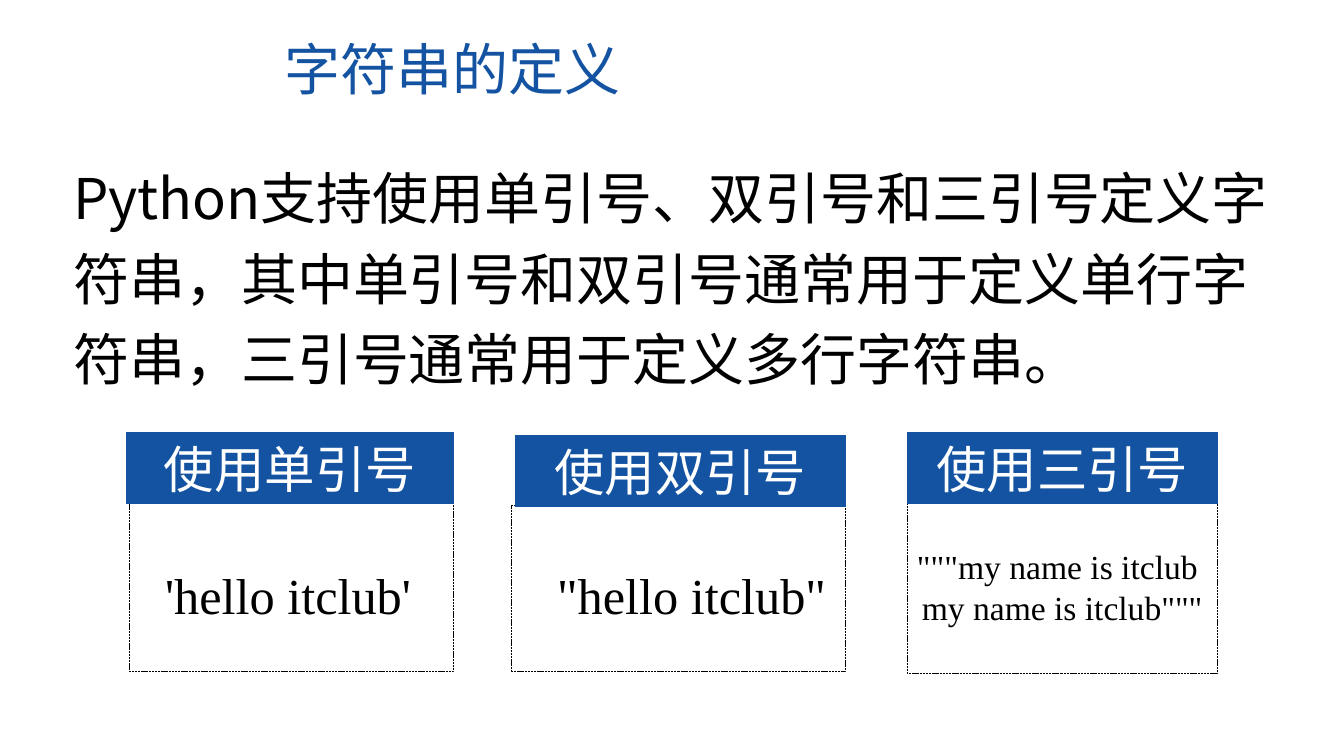
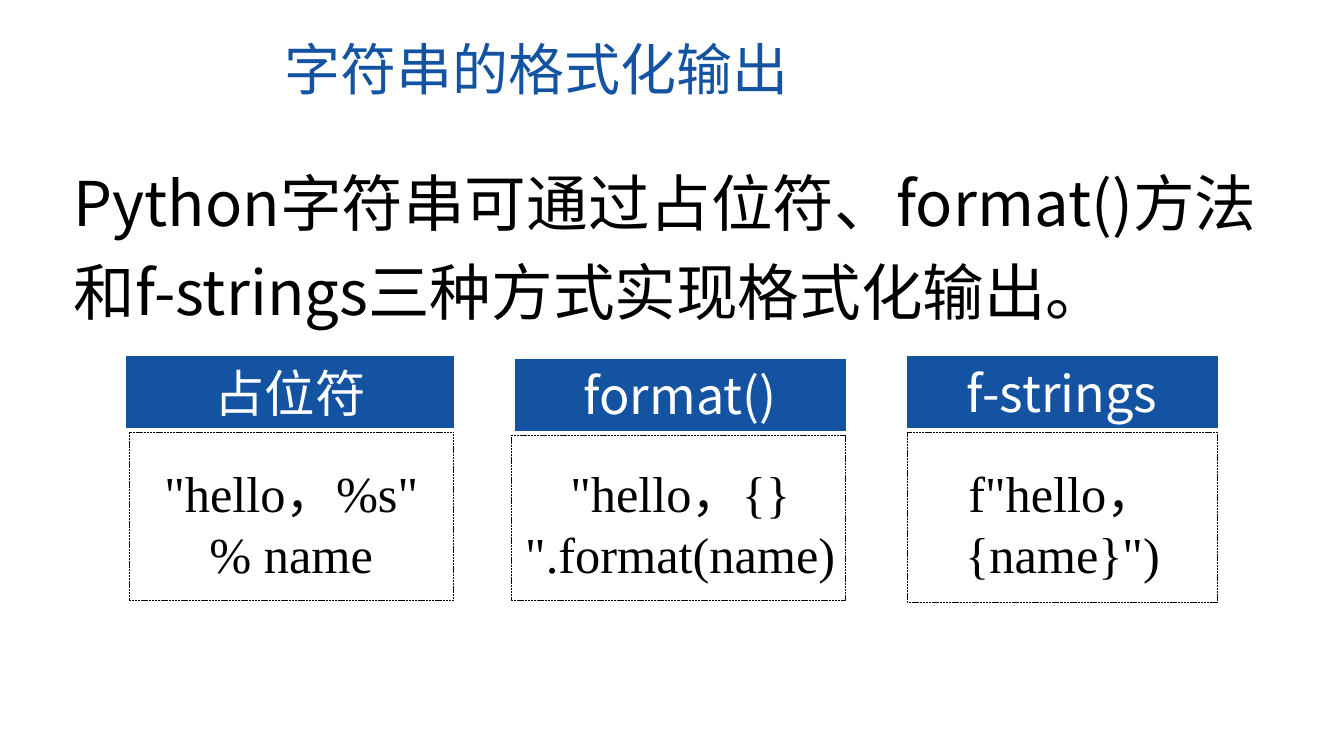
import pptx
import pptx.util
import pptx.dml.color
import pptx.enum.dml
import pptx.enum.shapes
import pptx.enum.text
import pptx.oxml.ns
from lxml import etree

Cm, Pt = pptx.util.Cm, pptx.util.Pt
ALIGN = pptx.enum.text.PP_ALIGN
ANCHOR = pptx.enum.text.MSO_ANCHOR

COLORS = {"blue": "1353A2", "black": "000000", "white": "FFFFFF"}
SANS, SERIF = "Noto Sans CJK SC", "Times New Roman"

# Text styles: font values, colour, paragraph values
STYLES = {
    "title": ({"size": Pt(40), "name": SANS}, "blue", {}),
    "body": ({"size": Pt(40), "name": SANS}, "black", {"line_spacing": 1.2}),
    "large": ({"size": Pt(44), "name": SANS}, "black", {"line_spacing": 1.2}),
    "head": ({"size": Pt(36), "name": SANS}, "white", {"alignment": ALIGN.CENTER}),
    "code": ({"size": Pt(36), "name": SERIF}, "black", {"alignment": ALIGN.LEFT}),
    "mid": ({"size": Pt(36), "name": SERIF}, "black", {"alignment": ALIGN.CENTER}),
    "small": ({"size": Pt(24), "name": SERIF}, "black", {"alignment": ALIGN.LEFT}),
    "end": ({"size": Pt(24), "name": SERIF}, "black", {"alignment": ALIGN.CENTER}),
}

# Columns in cm: head left, box left, shared right edge, drop, box height
COLS = [
    (3.18, 3.25, 11.43, 0, 4.24),
    (12.98, 12.9, 21.31, 0.07, 4.17),
    (22.86, 22.86, 30.68, 0, 4.29),
]
HEAD = 1.8

# Each slide: title, body style, body text, body height, head top, box top,
# then per column: head text, code place, code lines with their styles
SLIDES = [
    ("字符串的定义", "body",
     "Python支持使用单引号、双引号和三引号定义字符串，其中单引号和双引号通常用于定义单行字符串，三引号通常用于定义多行字符串。",
     6.4, 10.9, 12.67, [
         ("使用单引号", (3.91, 14.1, 6.88, 1.8), [("'hello itclub'", "code")]),
         ("使用双引号", (13.79, 14.1, 8.08, 1.8), [('"hello itclub"', "code")]),
         ("使用三引号", (22.86, 13.64, 7.82, 2.31),
          [('"""my name is itclub', "small"), ('my name is itclub"""', "end")]),
     ]),
    ("字符串的格式化输出", "large",
     "Python字符串可通过占位符、format()方法和f-strings三种方式实现格式化输出。",
     4.78, 8.98, 10.89, [
         ("占位符", (3.58, 11.53, 7.52, 3.33), [('"hello，%s" % name', "mid")]),
         ("format()", (12.98, 11.53, 8.33, 3.33), [('"hello，{} ".format(name)', "mid")]),
         ("f-strings", (23.95, 11.53, 5.66, 3.33), [('f"hello，{name}")', "mid")]),
     ]),
]


def rgb(key):
    return pptx.dml.color.RGBColor.from_string(COLORS[key])


def apply(item, values):
    for key, value in values.items():
        setattr(item, key, value)


def write(frame, lines):
    """Fill a text frame with (text, style) lines."""
    frame.word_wrap = True
    for i, (text, style) in enumerate(lines):
        font, color, layout = STYLES[style]
        para = frame.add_paragraph() if i else frame.paragraphs[0]
        apply(para, layout)
        run = para.add_run()
        run.text = text
        apply(run.font, font)
        run.font.color.rgb = rgb(color)
        # East Asian typeface
        tag = pptx.oxml.ns.qn("a:ea")
        etree.SubElement(run.font._element, tag).set("typeface", SANS)


def label(slide, place, lines):
    box = slide.shapes.add_textbox(*map(Cm, place))
    write(box.text_frame, lines)


def rect(slide, place):
    kind = pptx.enum.shapes.MSO_SHAPE.RECTANGLE
    shape = slide.shapes.add_shape(kind, *map(Cm, place))
    shape.shadow.inherit = False
    return shape


def frame(slide, place):
    """Dotted outline around the code."""
    shape = rect(slide, place)
    shape.fill.background()
    shape.line.color.rgb = rgb("black")
    dash = pptx.enum.dml.MSO_LINE.SQUARE_DOT
    apply(shape.line, {"width": Pt(0.5), "dash_style": dash})


def head(slide, place, text):
    """Blue bar with a centred caption."""
    shape = rect(slide, place)
    shape.fill.solid()
    shape.fill.fore_color.rgb = rgb("blue")
    shape.line.color.rgb = rgb("blue")
    shape.line.width = Pt(0.75)
    shape.text_frame.vertical_anchor = ANCHOR.MIDDLE
    write(shape.text_frame, [(text, "head")])


def build(deck, title, style, body, tall, top, low, cards):
    slide = deck.slides.add_slide(deck.slide_layouts[6])
    label(slide, (6.93, 0.74, 14.94, 1.96), [(title, "title")])
    label(slide, (1.6, 3.66, 31.22, tall), [(body, style)])
    # Three columns: outline, bar, code
    for col, (name, place, lines) in zip(COLS, cards):
        left, inner, right, drop, high = col
        frame(slide, (inner, low + drop, right - inner, high))
        head(slide, (left, top + drop, right - left, HEAD), name)
        label(slide, place, lines)


def main():
    deck = pptx.Presentation()
    apply(deck, {"slide_width": Cm(33.87), "slide_height": Cm(19.05)})
    for page in SLIDES:
        build(deck, *page)
    deck.save("out.pptx")


if __name__ == "__main__":
    main()
